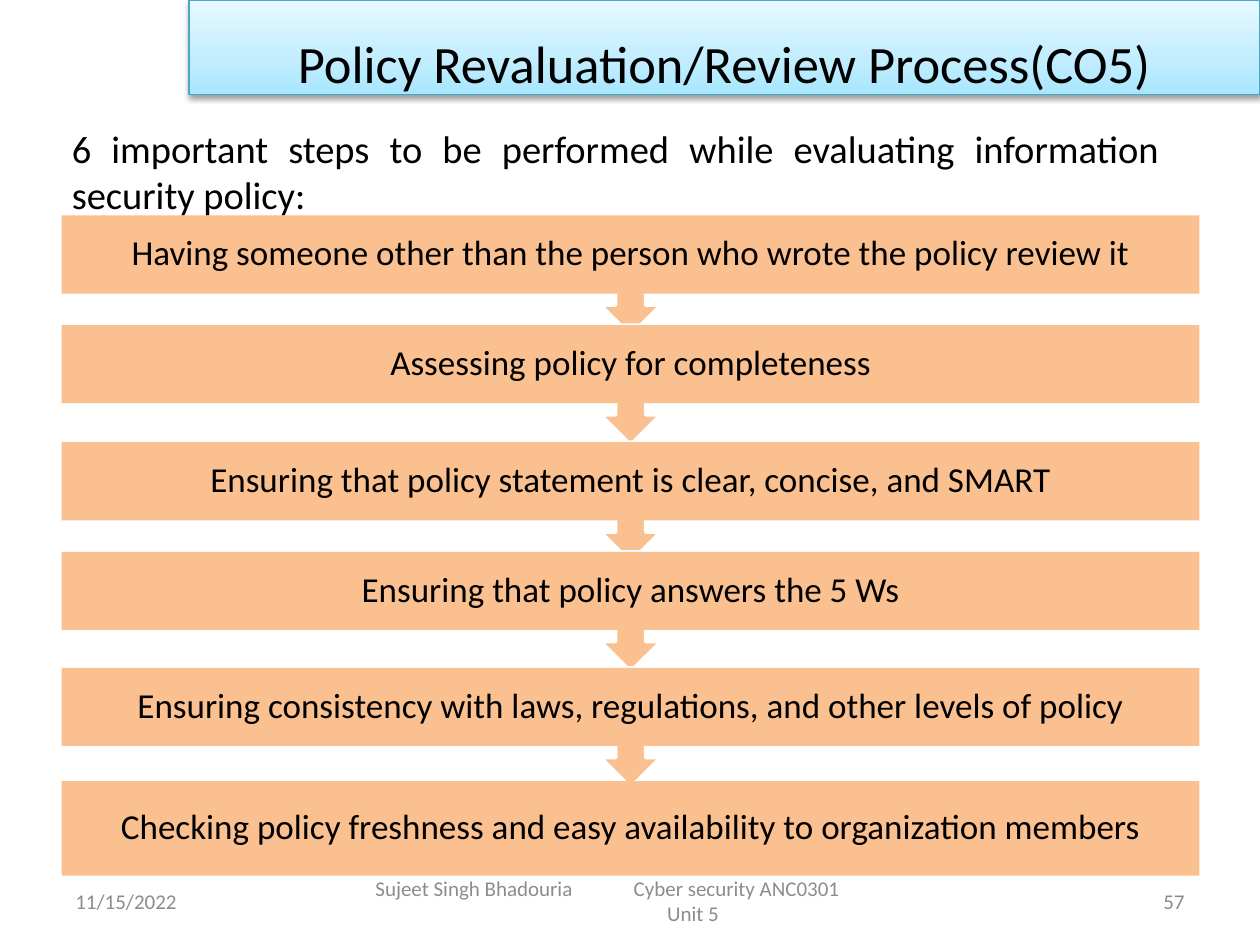
from lxml import etree
from copy import deepcopy
from pptx import Presentation
from pptx.dml.color import RGBColor
from pptx.enum.shapes import MSO_SHAPE
from pptx.enum.text import MSO_ANCHOR, MSO_AUTO_SIZE, PP_ALIGN
from pptx.oxml.ns import qn
from pptx.util import Inches, Pt

LEFT, CENTER, RIGHT, JUSTIFY = PP_ALIGN.LEFT, PP_ALIGN.CENTER, PP_ALIGN.RIGHT, PP_ALIGN.JUSTIFY
MIDDLE, TOP = MSO_ANCHOR.MIDDLE, MSO_ANCHOR.TOP
FIXED, GROW = MSO_AUTO_SIZE.NONE, MSO_AUTO_SIZE.SHAPE_TO_FIT_TEXT
BAR, CALLOUT = MSO_SHAPE.RECTANGLE, MSO_SHAPE.UP_ARROW_CALLOUT

COLUMNS, ROWS = 100, 75
UNIT = Inches(0.1)
PEACH, WHITE, BLACK, GREY = "FAC090", "FFFFFF", "000000", "8C8C8C"
STEP_LEFT, STEP_WIDTH, STEP_HEIGHT, CALLOUT_HEIGHT = 4.9, 90.3, 6.2, 9.5
FOOTER_ROW, FOOTER_HEIGHT = 69.5, 4
STEPS = [
    (17.1, "Having someone other than the person who wrote the policy review it"),
    (25.8, "Assessing policy for completeness"),
    (35.1, "Ensuring that policy statement is clear, concise, and SMART"),
    (43.8, "Ensuring that policy answers the 5 Ws"),
    (53, "Ensuring consistency with laws, regulations, and other levels of policy"),
]
LAST_STEP = "Checking policy freshness and easy availability to organization members"


def color(value):
    """Turn a hex string into a colour."""
    return RGBColor.from_string(value)


def cells(*counts):
    """Turn counts of grid columns or rows into lengths."""
    return [round(count * UNIT) for count in counts]


def move(item, box):
    """Place an item on the grid by left, top, width and height."""
    item.left, item.top, item.width, item.height = cells(*box)


def write(item, words, size, align, ink=BLACK, anchor=MIDDLE, spacing=1, fit=FIXED):
    """Write one formatted paragraph into an item."""
    frame = item.text_frame
    frame.word_wrap, frame.auto_size, frame.vertical_anchor = True, fit, anchor
    add_line(frame.paragraphs[0], words, size, align, ink, spacing)


def add_line(paragraph, words, size, align, ink, spacing=1):
    """Fill a paragraph with one run."""
    paragraph.alignment, paragraph.line_spacing = align, spacing
    paragraph.space_before = Pt(0)
    run = paragraph.add_run()
    run.text = words
    run.font.name, run.font.size = "Calibri", Pt(size)
    run.font.color.rgb = color(ink)


def add_block(slide, preset, box, outline=None):
    """Add a flat peach block with an optional outline."""
    block = slide.shapes.add_shape(preset, *cells(*box))
    block.shadow.inherit = False
    block.fill.solid()
    block.fill.fore_color.rgb = color(PEACH)
    if outline:
        block.line.color.rgb, block.line.width = color(outline), Pt(2)
    else:
        block.line.fill.background()
    return block


def add_label(slide, top, height, words):
    """Add the bar that carries the wording of a step."""
    label = add_block(slide, BAR, (STEP_LEFT, top, STEP_WIDTH, height))
    frame = label.text_frame
    frame.margin_left = frame.margin_right = Inches(0.16)
    frame.margin_top = frame.margin_bottom = Inches(0.16)
    write(label, words, 20, CENTER, spacing=0.9)


def add_steps(slide):
    """Add the chain of review steps with arrows between them."""
    for top, words in STEPS:
        box = STEP_LEFT, top, STEP_WIDTH, CALLOUT_HEIGHT
        add_block(slide, CALLOUT, box, WHITE).rotation = 180
        add_label(slide, top, STEP_HEIGHT, words)
    add_block(slide, BAR, (STEP_LEFT, 63.4, STEP_WIDTH, STEP_HEIGHT), WHITE)
    add_label(slide, 62, 7.5, LAST_STEP)


def paint_banner(banner):
    """Give the title its gradient, outline and shadow."""
    banner.fill.gradient()
    banner.fill.gradient_angle = 90
    properties = banner.element.spPr
    stops = properties.find(".//" + qn("a:gsLst"))
    stops.insert(1, deepcopy(stops[0]))
    shades = (0, "A7E6FF"), (0.35, "C1EDFF"), (1, "E7F8FF")
    for stop, (position, shade) in zip(banner.fill.gradient_stops, shades):
        stop.position, stop.color.rgb = position, color(shade)
    banner.line.color.rgb, banner.line.width = color("46AAC5"), Pt(0.75)
    banner.shadow.inherit = False
    shadow = etree.SubElement(properties.find(qn("a:effectLst")), qn("a:outerShdw"),
                              blurRad="40000", dist="20000", dir="5400000", rotWithShape="0")
    tint = etree.SubElement(shadow, qn("a:srgbClr"), val=BLACK)
    etree.SubElement(tint, qn("a:alpha"), val="38000")


def add_title(slide):
    """Turn the title placeholder into the top banner."""
    title = slide.shapes.title
    move(title, (15, 0, 85, 7.5))
    paint_banner(title)
    write(title, "Policy Revaluation/Review Process(CO5)", 30, CENTER, spacing=1.5)


def add_intro(slide):
    """Put the lead-in sentence into the body placeholder, in front of the steps."""
    intro = slide.placeholders[1]
    move(intro, (4.7, 9.4, 88.3, 8.4))
    properties = intro.text_frame.paragraphs[0]._p.get_or_add_pPr()
    properties.set("marL", "0")
    properties.set("indent", "0")
    etree.SubElement(properties, qn("a:buNone"))
    write(intro, "6 important steps to be performed while evaluating information security policy:",
          22, JUSTIFY, anchor=TOP, fit=GROW)
    slide.shapes.element.append(intro.element)


def add_footer_text(slide, left, width, words, align):
    """Add one grey footer text and return it."""
    footer = slide.shapes.add_textbox(*cells(left, FOOTER_ROW, width, FOOTER_HEIGHT))
    write(footer, words, 12, align, GREY)
    return footer


def add_footer(slide):
    """Add date, course line and page number."""
    add_footer_text(slide, 5, 23.3, "11/15/2022", LEFT)
    add_footer_text(slide, 71.7, 23.3, "57", RIGHT)
    course = add_footer_text(slide, 27.5, 55, "Sujeet Singh Bhadouria\tCyber security ANC0301", LEFT)
    frame = course.text_frame
    frame.margin_left = frame.margin_right = Inches(0.23)
    tabs = etree.SubElement(frame.paragraphs[0]._p.get_or_add_pPr(), qn("a:tabLst"))
    etree.SubElement(tabs, qn("a:tab"), pos=str(Inches(2.05)), algn="l")
    add_line(frame.add_paragraph(), "Unit 5", 12, CENTER, GREY)


def main():
    """Build and save the slide."""
    deck = Presentation()
    deck.slide_width, deck.slide_height = cells(COLUMNS, ROWS)
    slide = deck.slides.add_slide(deck.slide_layouts[1])
    add_footer(slide)
    add_title(slide)
    add_steps(slide)
    add_intro(slide)
    deck.save("out.pptx")


if __name__ == "__main__":
    main()
